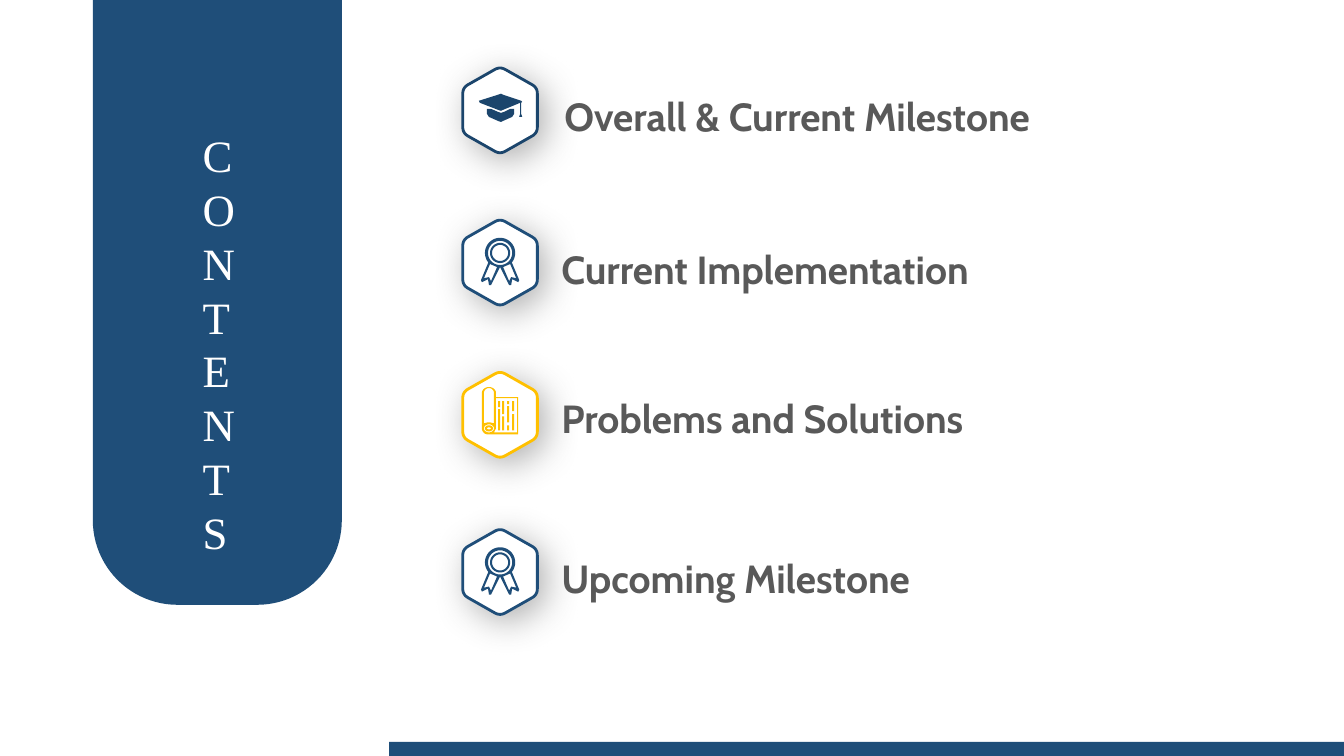
from math import cos, hypot, radians, sin

from lxml import etree
from pptx import Presentation, util as u
from pptx.dml import color
from pptx.enum import shapes, text
from pptx.oxml import ns

NAVY, GOLD, WHITE, GREY = "1F4E79", "FFC000", "FFFFFF", "595959"
ICON_LEFT = 4.59
CENTRE = 0.37


def rgb(hex_code):
    return color.RGBColor.from_string(hex_code)


def write(frame, content, font, size, ink, bold=False, align=text.PP_ALIGN.LEFT, spacing=None):
    frame.word_wrap = True
    frame.auto_size = text.MSO_AUTO_SIZE.NONE
    frame.vertical_anchor = text.MSO_ANCHOR.TOP
    paragraph = frame.paragraphs[0]
    paragraph.alignment = align
    if spacing:
        paragraph.line_spacing = u.Pt(spacing)
        paragraph.space_before = u.Pt(0)
    run = paragraph.add_run()
    run.text = content
    run.font.name, run.font.size, run.font.bold = font, u.Pt(size), bold
    run.font.color.rgb = rgb(ink)


def arc(x, y, radius, start=0, end=360, radius_y=None):
    angles = [radians(start + (end - start) * step / 36) for step in range(37)]
    return [(x + radius * cos(a), y + (radius_y or radius) * sin(a)) for a in angles]


def box(left, top, right, bottom):
    return [(left, top), (right, top), (right, bottom), (left, bottom)]


def mirror(points):
    return [(2 * CENTRE - x, y) for x, y in reversed(points)]


def rounded(corners, cut):
    points = []
    for index, (x, y) in enumerate(corners):
        ends = []
        for near_x, near_y in (corners[index - 1], corners[(index + 1) % len(corners)]):
            share = cut / hypot(near_x - x, near_y - y)
            ends.append((x + (near_x - x) * share, y + (near_y - y) * share))
        (ax, ay), (bx, by) = ends
        for step in range(9):
            t = step / 8
            points.append(((1 - t) ** 2 * ax + 2 * t * (1 - t) * x + t * t * bx,
                           (1 - t) ** 2 * ay + 2 * t * (1 - t) * y + t * t * by))
    return points


def hexagon():
    corners = [(CENTRE, -0.02), (0.74, 0.19), (0.74, 0.64),
               (CENTRE, 0.85), (0, 0.64), (0, 0.19)]
    return [rounded(corners, 0.06)]


def cap():
    board = [(0.16, 0.32), (0.35, 0.26), (0.38, 0.25), (0.4, 0.26), (0.58, 0.32),
             (0.59, 0.33), (0.58, 0.34), (0.58, 0.45), (0.59, 0.48), (0.56, 0.48),
             (0.57, 0.45), (0.57, 0.34), (0.4, 0.41), (0.38, 0.42), (0.35, 0.41), (0.17, 0.34)]
    base = [(0.24, 0.4), (0.28, 0.4), (0.35, 0.43), (0.38, 0.44), (0.41, 0.43), (0.47, 0.4),
            (0.51, 0.4), (0.51, 0.45), (0.49, 0.48), (0.4, 0.52), (0.38, 0.53), (0.35, 0.52),
            (0.26, 0.48), (0.24, 0.45)]
    return [board, base]


def medal():
    middle = 0.32
    tail = [(0.56, 0.59), (0.55, 0.61), (0.49, 0.58), (0.48, 0.64), (0.46, 0.64), (CENTRE, 0.46)]
    ribbon = [(0.47, 0.43), (0.4, 0.46), (0.46, 0.6), (0.48, 0.56), (0.53, 0.57)]
    outline = arc(CENTRE, middle, 0.15, 141, 399) + tail + mirror(tail)
    rings = [arc(CENTRE, middle, radius) for radius in (0.12, 0.1, 0.08)]
    return [outline, ribbon, mirror(ribbon)] + rings


def scroll():
    outline = (arc(0.26, 0.2, 0.07, 180, 360, 0.06) + [(0.33, 0.24), (0.55, 0.24), (0.55, 0.61)]
               + arc(0.25, 0.55, 0.06, 90, 180))
    roll = arc(0.26, 0.2, 0.05, 180, 360) + [(0.31, 0.5), (0.27, 0.49), (0.25, 0.49), (0.21, 0.5)]
    page = [(0.33, 0.25), (0.54, 0.25), (0.54, 0.59), (0.31, 0.59), (0.33, 0.55)]
    curl = [arc(0.26, 0.55, rx, radius_y=ry) for rx, ry in ((0.05, 0.04), (0.04, 0.03), (0.02, 0.01))]
    dashes = {0.35: ((0.28, 0.34), (0.36, 0.57)),
              0.39: ((0.28, 0.41), (0.43, 0.57)),
              0.44: ((0.28, 0.31), (0.33, 0.49), (0.52, 0.57)),
              0.49: ((0.28, 0.38), (0.41, 0.57))}
    strokes = [box(left, top, left + 0.02, bottom)
               for left, spans in dashes.items() for top, bottom in spans]
    return [outline, roll, page] + curl + strokes


class ContentsSlide:
    """Hold the style and the current slide, with one method per kind of element."""

    def __init__(self, presentation):
        self.slide = presentation.slides.add_slide(presentation.slide_layouts[5])

    def block(self, kind, left, top, width, height, rotation=0):
        shape = self.slide.shapes.add_shape(kind, *map(u.Inches, (left, top, width, height)))
        shape.rotation = rotation
        shape.shadow.inherit = False
        shape.fill.solid()
        shape.fill.fore_color.rgb = rgb(NAVY)
        shape.line.fill.background()
        return shape

    def title(self, content, left, top, width, height):
        shape = self.slide.shapes.title
        shape.left, shape.top, shape.width, shape.height = map(u.Inches, (left, top, width, height))
        write(shape.text_frame, content, "Times New Roman", 32, WHITE,
              align=text.PP_ALIGN.JUSTIFY, spacing=38.4)
        shape.element.getparent().append(shape.element)

    def outline(self, group, contours, top, fill, line=None):
        placed = [[(u.Inches(ICON_LEFT + x), u.Inches(top + y)) for x, y in contour]
                  for contour in contours]
        builder = group.shapes.build_freeform(*placed[0][0])
        for index, contour in enumerate(placed):
            if index:
                builder.move_to(*contour[0])
            builder.add_line_segments(contour[1:], close=True)
        shape = builder.convert_to_shape()
        shape.shadow.inherit = False
        shape.fill.solid()
        shape.fill.fore_color.rgb = rgb(fill)
        if line:
            shape.line.color.rgb = rgb(line)
            shape.line.width = u.Pt(2)
            self.shadow(shape)
        else:
            shape.line.fill.background()

    def shadow(self, shape):
        effects = shape.element.spPr.find(ns.qn("a:effectLst"))
        outer = etree.SubElement(effects, ns.qn("a:outerShdw"), blurRad=str(u.Pt(25)),
                                 dist=str(u.Pt(7)), dir="2700000", algn="tl", rotWithShape="0")
        tint = etree.SubElement(outer, ns.qn("a:srgbClr"), val="808080")
        etree.SubElement(tint, ns.qn("a:alpha"), val="60000")

    def entry(self, content, icon, ink, top, left, text_top, width):
        group = self.slide.shapes.add_group_shape()
        self.outline(group, hexagon(), top, WHITE, line=ink)
        label = group.shapes.add_textbox(*map(u.Inches, (left, text_top, width, 0.57)))
        write(label.text_frame, content, "Cabin", 28, GREY, bold=True)
        self.outline(group, icon(), top, ink)


def main():
    presentation = Presentation()
    presentation.slide_width, presentation.slide_height = u.Inches(13.33), u.Inches(7.5)
    contents = ContentsSlide(presentation)
    panel = contents.block(shapes.MSO_SHAPE.ROUND_2_SAME_RECTANGLE, 0.92, 0, 2.47, 6, rotation=180)
    panel.adjustments[0], panel.adjustments[1] = 0.34, 0
    contents.title("CONTENTS", 1.91, 1.22, 0.46, 4.2)
    contents.block(shapes.MSO_SHAPE.RECTANGLE, 3.86, 7.36, 9.47, 0.14)
    entries = [("Overall & Current Milestone", cap, "1B456C", 0.68, 5.5, 0.87, 6.63),
               ("Current Implementation", medal, NAVY, 2.19, 5.47, 2.38, 7.62),
               ("Problems and Solutions", scroll, GOLD, 3.7, 5.47, 3.86, 6.4),
               ("Upcoming Milestone", medal, NAVY, 5.26, 5.47, 5.45, 3.92)]
    for entry in entries:
        contents.entry(*entry)
    presentation.save("out.pptx")


if __name__ == "__main__":
    main()
